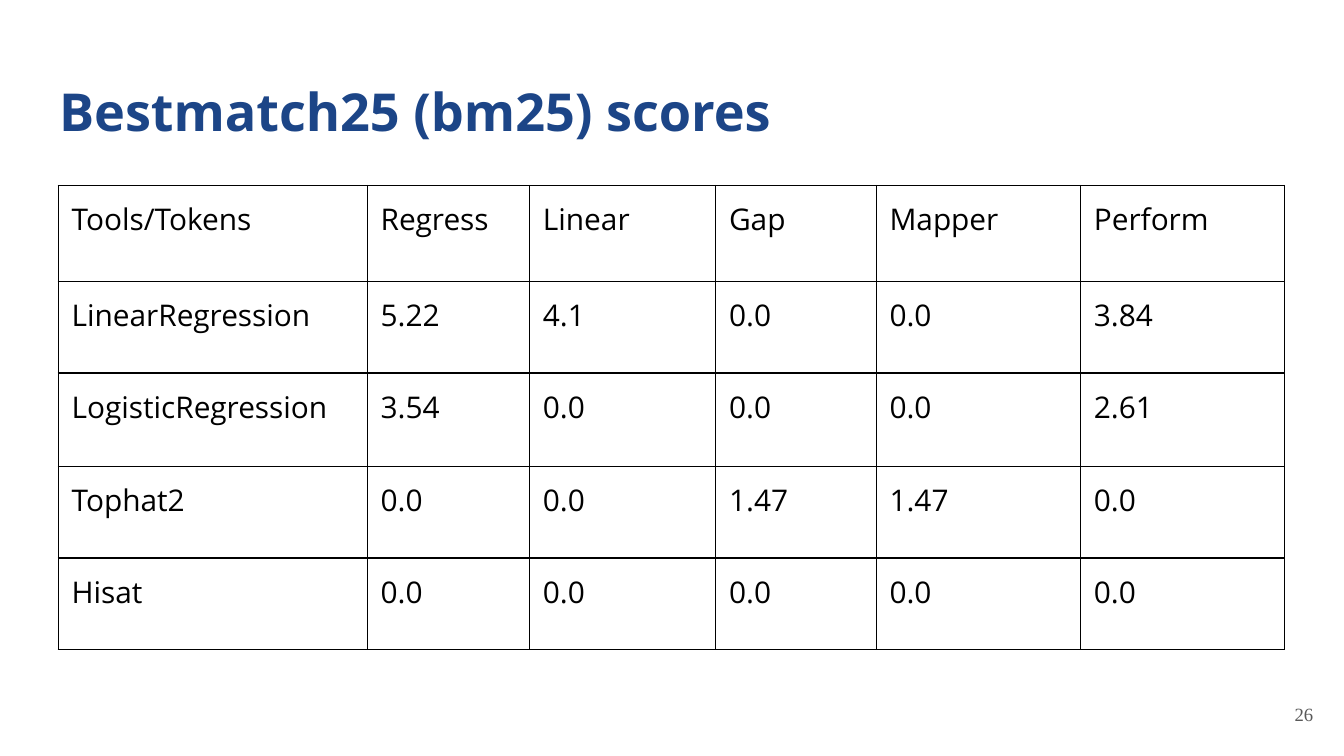
from lxml import etree
from pptx import Presentation
from pptx import util as u
from pptx.dml import color
from pptx.enum import text
from pptx.oxml import ns

COLORS = {"title": "1C4587", "body": "000000", "number": "595959", "border": "000000"}
INSET = u.Pt(7.2)


def write(frame, content, size, hue, font="Open Sans", bold=False,
          align=text.PP_ALIGN.LEFT):
    paragraph = frame.paragraphs[0]
    paragraph.alignment = align
    run = paragraph.add_run()
    run.text = content
    run.font.name = font
    run.font.size = u.Pt(size)
    run.font.bold = bold
    run.font.color.rgb = color.RGBColor.from_string(COLORS[hue])


def set_insets(holder):
    holder.margin_left = holder.margin_right = INSET
    holder.margin_top = holder.margin_bottom = INSET


presentation = Presentation()
presentation.slide_width = u.Pt(720)
presentation.slide_height = u.Pt(405)
slide = presentation.slides.add_slide(presentation.slide_layouts[5])

title = slide.shapes.title
title.left, title.top = u.Pt(24.5), u.Pt(35.3)
title.width, title.height = u.Pt(671), u.Pt(45.4)
title_frame = title.text_frame
set_insets(title_frame)
title_frame.word_wrap = True
title_frame.auto_size = text.MSO_AUTO_SIZE.NONE
title_frame.vertical_anchor = text.MSO_ANCHOR.TOP
write(title_frame, "Bestmatch25 (bm25) scores", 28, "title", bold=True)

number = slide.shapes.add_textbox(u.Pt(667.4), u.Pt(367.2), u.Pt(43.2), u.Pt(31))
number_frame = number.text_frame
set_insets(number_frame)
number_frame.word_wrap = True
number_frame.vertical_anchor = text.MSO_ANCHOR.MIDDLE
write(number_frame, "26", 10, "number", font="Times New Roman",
      align=text.PP_ALIGN.RIGHT)

scores = [
    ["Tools/Tokens", "Regress", "Linear", "Gap", "Mapper", "Perform"],
    ["LinearRegression", "5.22", "4.1", "0.0", "0.0", "3.84"],
    ["LogisticRegression", "3.54", "0.0", "0.0", "0.0", "2.61"],
    ["Tophat2", "0.0", "0.0", "1.47", "1.47", "0.0"],
    ["Hisat", "0.0", "0.0", "0.0", "0.0", "0.0"],
]
column_widths = [165.5, 87, 99.7, 86, 109.5, 109.5]
row_heights = [51.4, 49, 50.2, 49, 49]

table = slide.shapes.add_table(
    len(row_heights), len(column_widths), u.Pt(31.2), u.Pt(99.4),
    u.Pt(sum(column_widths)), u.Pt(sum(row_heights))).table
table.first_row = False
table.horz_banding = False
for column, width in zip(table.columns, column_widths):
    column.width = u.Pt(width)
for row, height, values in zip(table.rows, row_heights, scores):
    row.height = u.Pt(height)
    for cell, value in zip(row.cells, values):
        set_insets(cell)
        cell.vertical_anchor = text.MSO_ANCHOR.TOP
        write(cell.text_frame, value, 16, "body")
        properties = cell._tc.get_or_add_tcPr()
        for side in ("a:lnL", "a:lnR", "a:lnT", "a:lnB"):
            line = etree.SubElement(properties, ns.qn(side), w=str(u.Pt(0.75)))
            fill = etree.SubElement(line, ns.qn("a:solidFill"))
            etree.SubElement(fill, ns.qn("a:srgbClr"), val=COLORS["border"])
        cell.fill.background()

presentation.save("out.pptx")
